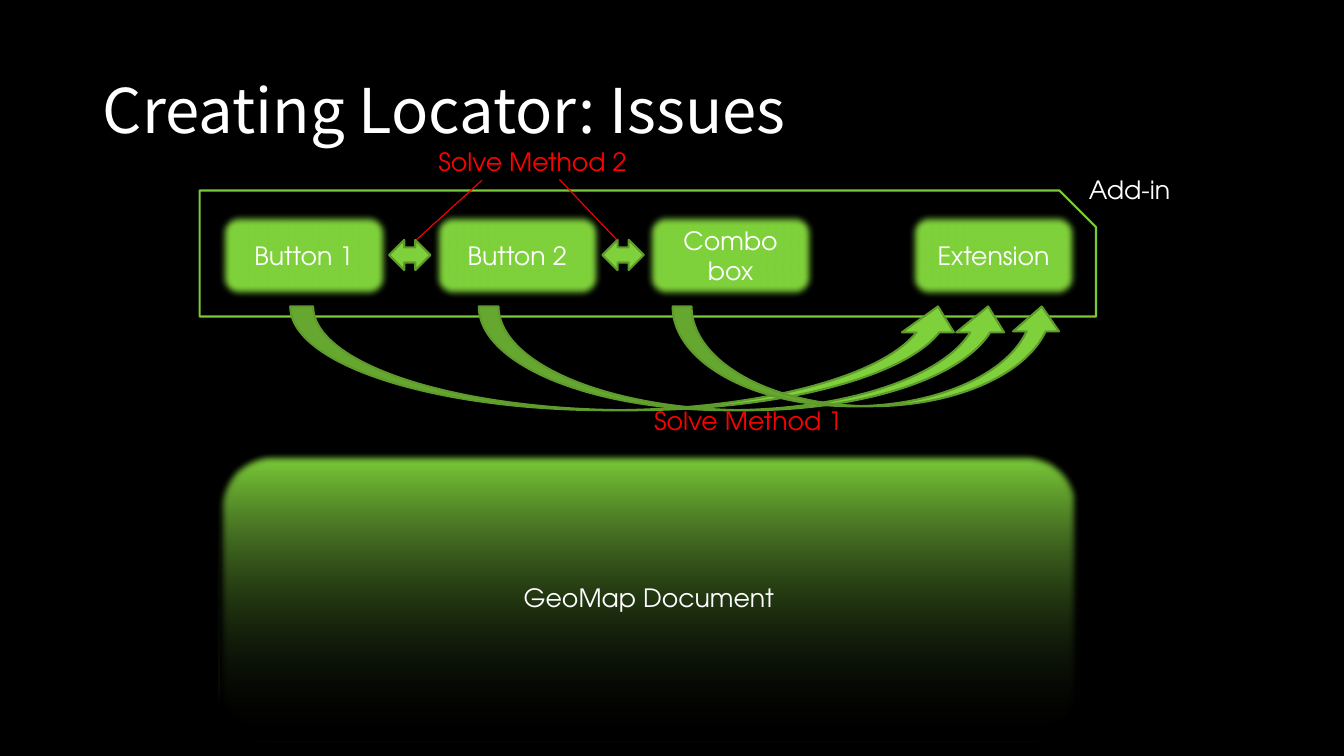
"""Build the slide on ways for add-in controls to reach a locator."""
from lxml import etree
from pptx import Presentation
from pptx.dml.color import RGBColor
from pptx.enum.shapes import MSO_CONNECTOR, MSO_SHAPE
from pptx.enum.text import MSO_ANCHOR, MSO_AUTO_SIZE, PP_ALIGN
from pptx.oxml.ns import qn
from pptx.util import Inches, Pt

ROUNDED = MSO_SHAPE.ROUNDED_RECTANGLE
SNIPPED = MSO_SHAPE.SNIP_1_RECTANGLE
CURVED_UP = MSO_SHAPE.CURVED_UP_ARROW
TWO_WAY = MSO_SHAPE.LEFT_RIGHT_ARROW
STRAIGHT = MSO_CONNECTOR.STRAIGHT
LEFT, CENTER = PP_ALIGN.LEFT, PP_ALIGN.CENTER
TOP, MIDDLE = MSO_ANCHOR.TOP, MSO_ANCHOR.MIDDLE
FIT_SHAPE = MSO_AUTO_SIZE.SHAPE_TO_FIT_TEXT

WIDTH, HEIGHT = Inches(13.33), Inches(7.5)
COLUMNS, ROWS = 40, 30
TITLE_FONT, BODY_FONT = "Noto Sans CJK SC", "TeX Gyre Adventor"
COLORS = {
    "background": "000000",
    "text": "FFFFFF",
    "method": "FF0000",
    "green": "7FD13B",
    "edge": "5E9B2C",
    "frame": "7AC938",
    "fade": "0D0D0D",
}
CONTROL_LEFT, CONTROL_PITCH, CONTROL_TOP = 6.51, 6.35, 8.44
CONTROL_WIDTH, CONTROL_HEIGHT = 5.07, 3.4


def color(name):
    """Return a palette colour."""
    return RGBColor.from_string(COLORS[name])


def grid(column, row):
    """Turn a grid position into slide lengths."""
    return round(WIDTH * column / COLUMNS), round(HEIGHT * row / ROWS)


def write(frame, text, *, size=18, font=BODY_FONT, tint="text", align=CENTER,
          anchor=MIDDLE, wrap=True, spacing=None):
    """Fill a text frame with one formatted paragraph."""
    frame.word_wrap = wrap
    frame.vertical_anchor = anchor
    paragraph = frame.paragraphs[0]
    paragraph.alignment = align
    paragraph.line_spacing = spacing
    run = paragraph.add_run()
    run.text = text
    run.font.size = Pt(size)
    run.font.name = font
    run.font.color.rgb = color(tint)


def add_figure(slide, preset, place, extent, fill="green", edge="edge", adjust=()):
    """Add a preset shape with flat fill and outline."""
    figure = slide.shapes.add_shape(preset, *grid(*place), *grid(*extent))
    figure.shadow.inherit = False
    if fill:
        figure.fill.solid()
        figure.fill.fore_color.rgb = color(fill)
    else:
        figure.fill.background()
    if edge:
        figure.line.color.rgb = color(edge)
        figure.line.width = Pt(1.5)
    else:
        figure.line.fill.background()
    for index, value in enumerate(adjust):
        figure.adjustments[index] = value
    return figure


def add_soft_box(slide, text, place, extent, edge=None):
    """Add a labelled rounded box with soft edges."""
    box = add_figure(slide, ROUNDED, place, extent, edge=edge)
    effects = box.element.spPr.find(qn("a:effectLst"))
    etree.SubElement(effects, qn("a:softEdge"), rad=str(Pt(5)))
    write(box.text_frame, text)
    return box


def fade_down(box):
    """Fade a box from green at the top to clear at the bottom."""
    box.fill.gradient()
    box.fill.gradient_angle = 270
    for stop, name, position in zip(box.fill.gradient_stops, ("green", "fade"), (0, 1)):
        stop.color.rgb = color(name)
        stop.position = position
    tints = box.element.spPr.find(qn("a:gradFill")).findall(".//" + qn("a:srgbClr"))
    etree.SubElement(tints[-1], qn("a:alpha"), val="0")


def add_label(slide, text, place, extent, tint="text"):
    """Add a free-standing label."""
    label = slide.shapes.add_textbox(*grid(*place), *grid(*extent))
    write(label.text_frame, text, tint=tint, align=LEFT, anchor=TOP, wrap=False)
    label.text_frame.auto_size = FIT_SHAPE


def add_pointer(slide, start, end):
    """Add a thin line from a method label to an arrow."""
    pointer = slide.shapes.add_connector(STRAIGHT, *grid(*start), *grid(*end))
    pointer.line.color.rgb = color("method")
    pointer.line.width = Pt(0.79)
    etree.SubElement(pointer.element.spPr, qn("a:effectLst"))


def add_title(slide, text):
    """Place and format the slide title."""
    title = slide.shapes.title
    title.left, title.top = grid(2.76, 1.6)
    title.width, title.height = grid(34.5, 5.8)
    write(title.text_frame, text, size=44, font=TITLE_FONT, align=LEFT, spacing=0.9)


def main():
    """Build and save the slide."""
    deck = Presentation()
    deck.slide_width, deck.slide_height = WIDTH, HEIGHT
    slide = deck.slides.add_slide(deck.slide_layouts[5])
    slide.background.fill.solid()
    slide.background.fill.fore_color.rgb = color("background")
    add_title(slide, "Creating Locator: Issues")

    control_lefts = [CONTROL_LEFT + CONTROL_PITCH * index for index in range(3)]
    controls = zip(("Button 1", "Button 2", "Combo box", "Extension"),
                   control_lefts + [27.04])
    for name, left in controls:
        add_soft_box(slide, name, (left, CONTROL_TOP), (CONTROL_WIDTH, CONTROL_HEIGHT))
    document = add_soft_box(slide, "GeoMap Document", (CONTROL_LEFT, 18),
                            (25.6, 11.44), edge="edge")
    fade_down(document)

    add_label(slide, "Add-in", (32.11, 6.72), (3.09, 1.6))
    add_figure(slide, SNIPPED, (5.94, 7.56), (26.68, 5), fill=None, edge="frame",
               adjust=(0.29,))

    for left, width, height, adjust in (
        (8.64, 20.05, 4.12, (0.22, 0.5, 0.25)),
        (14.25, 15.87, 4.12, (0.19, 0.46, 0.25)),
        (20.02, 11.67, 3.96, (0.19, 0.46, 0.25)),
    ):
        add_figure(slide, CURVED_UP, (left, 12.16), (width, height), adjust=adjust)

    add_label(slide, "Solve Method 1", (19.17, 15.88), (6.3, 1.6), tint="method")
    add_label(slide, "Solve Method 2", (12.75, 5.6), (6.3, 1.6), tint="method")
    for left in control_lefts[:2]:
        add_figure(slide, TWO_WAY, (left + CONTROL_WIDTH, 9.52), (1.23, 1.2))
    add_pointer(slide, (16.65, 7.12), (18.36, 9.52))
    add_pointer(slide, (14.34, 7.16), (12.39, 9.52))

    deck.save("out.pptx")


if __name__ == "__main__":
    main()
